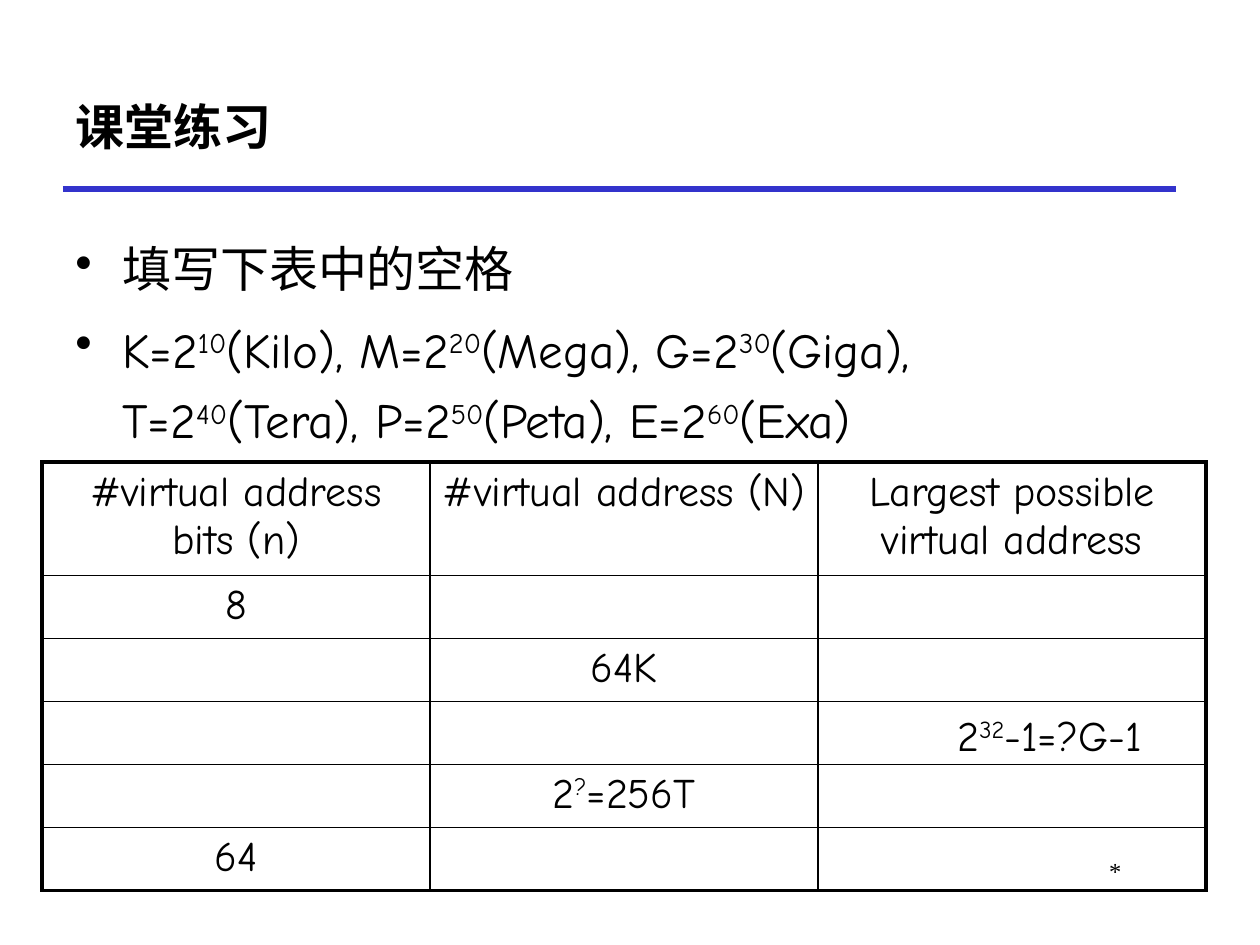
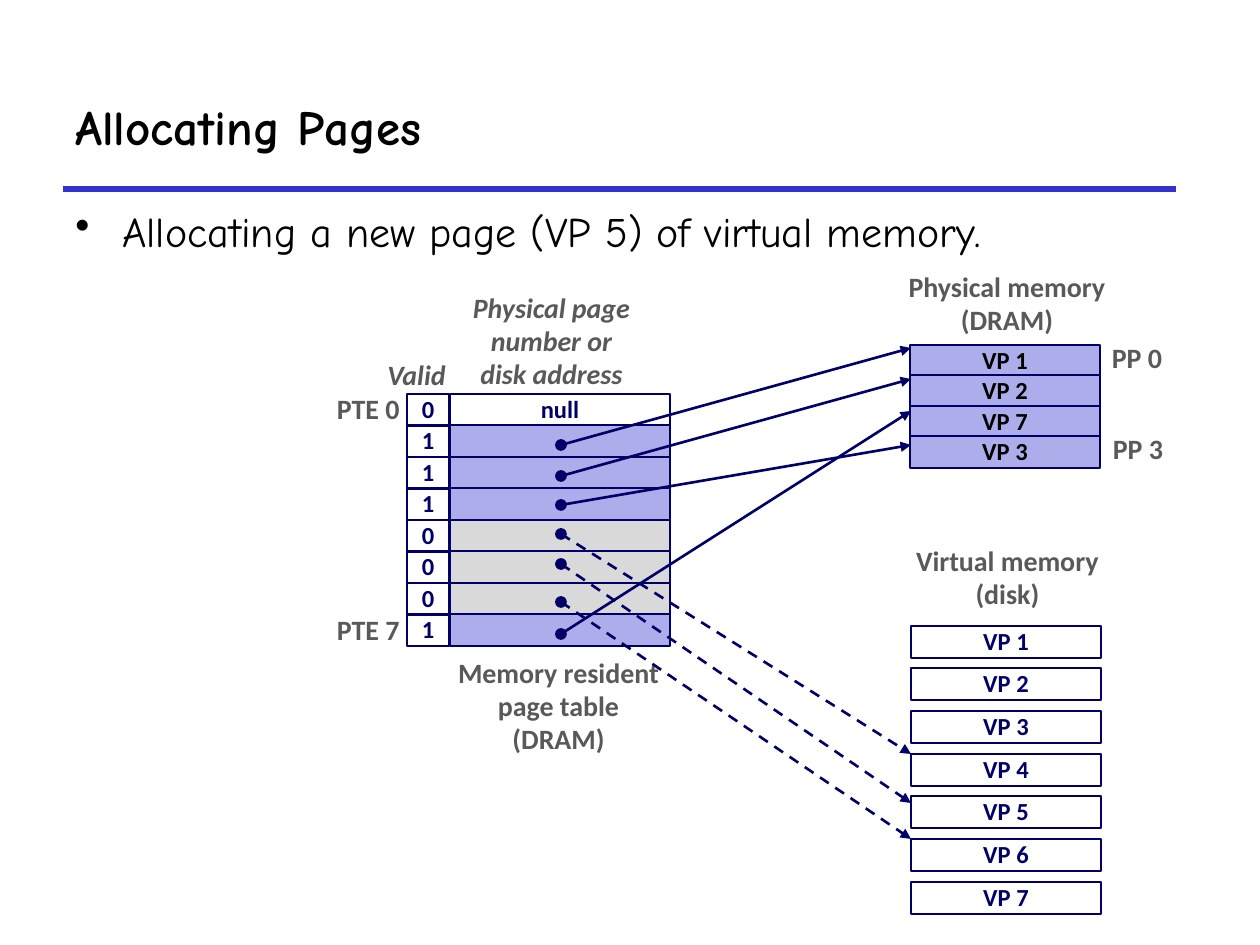
"""Build two lecture slides on virtual memory: an exercise table and a page table diagram."""
from lxml import etree
from pptx import Presentation
from pptx import util as u
from pptx.dml import color as dml
from pptx.enum import dml as lines, shapes, text as t
from pptx.oxml import ns

PX = 914400 // 126
BLACK, NAVY, GREY = "000000", "000066", "595959"
LILAC, SILVER, RULE = "ADADEB", "D9D9D9", "3333CC"
HAND, SANS = "Comic Neue", "Calibri"
LEFT, CENTER, RIGHT = t.PP_ALIGN.LEFT, t.PP_ALIGN.CENTER, t.PP_ALIGN.RIGHT
TOP, MIDDLE = t.MSO_ANCHOR.TOP, t.MSO_ANCHOR.MIDDLE
RECTANGLE, OVAL = shapes.MSO_SHAPE.RECTANGLE, shapes.MSO_SHAPE.OVAL
rgb = dml.RGBColor.from_string


def write(frame, content, size=24, font=HAND, color=BLACK, bold=False, italic=False,
          align=LEFT, anchor=TOP, wrap=True, spacing=1.0, before=0, bullet=False):
    """Fill a text frame; newlines split paragraphs and ^marks^ raise text."""
    frame.word_wrap = wrap
    frame.vertical_anchor = anchor
    for index, line in enumerate(content.split("\n")):
        para = frame.add_paragraph() if index else frame.paragraphs[0]
        para.alignment = align
        para.line_spacing = spacing
        para.space_before = u.Pt(before)
        if bullet:
            props = para._p.get_or_add_pPr()
            props.set("marL", str(47 * PX))
            props.set("indent", str(-47 * PX))
            etree.SubElement(props, ns.qn("a:buChar"), char="•")
        for part, piece in enumerate(line.split("^")):
            span = para.add_run()
            span.text = piece
            span.font.name = font
            span.font.size = u.Pt(size)
            span.font.bold = bold
            span.font.italic = italic
            span.font.color.rgb = rgb(color)
            if part % 2:
                span._r.get_or_add_rPr().set("baseline", "30000")


def draw(page, kind, left, top, width, height, fill=None, weight=1.5):
    """Add a navy-outlined shape and return its text frame."""
    box = page.shapes.add_shape(kind, left * PX, top * PX, width * PX, height * PX)
    box.shadow.inherit = False
    box.line.color.rgb = rgb(NAVY)
    box.line.width = u.Pt(weight)
    if fill:
        box.fill.solid()
        box.fill.fore_color.rgb = rgb(fill)
    else:
        box.fill.background()
    return box.text_frame


deck = Presentation()
deck.slide_width = u.Inches(10)
deck.slide_height = u.Inches(7.5)

pages = []
for title in ("课堂练习", "Allocating Pages"):
    page = deck.slides.add_slide(deck.slide_layouts[6])
    rule = page.shapes.add_connector(
        shapes.MSO_CONNECTOR.STRAIGHT, 63 * PX, 189 * PX, 1176 * PX, 189 * PX)
    rule.line.color.rgb = rgb(RULE)
    rule.line.width = u.Pt(3)
    etree.SubElement(rule._element.spPr, ns.qn("a:effectLst"))
    box = page.shapes.add_textbox(63 * PX, 63 * PX, 1113 * PX, 126 * PX)
    write(box.text_frame, title, size=28, bold=True, anchor=MIDDLE)
    pages.append(page)
exercise, allocation = pages

units = ("填写下表中的空格\n"
         "K=2^10^(Kilo), M=2^20^(Mega), G=2^30^(Giga), "
         "T=2^40^(Tera), P=2^50^(Peta), E=2^60^(Exa)")
box = exercise.shapes.add_textbox(63 * PX, 221 * PX, 1040 * PX, 158 * PX)
write(box.text_frame, units, size=28, spacing=1.2, before=5.6, bullet=True)

answers = [
    ("#virtual address bits (n)", "#virtual address (N)", "Largest possible virtual address"),
    ("8", "", ""),
    ("", "64K", ""),
    ("", "", ""),
    ("", "2^?^=256T", ""),
    ("64", "", ""),
]
rows, columns = len(answers), len(answers[0])
table = exercise.shapes.add_table(
    rows, columns, 42 * PX, 462 * PX, 1164 * PX, 428 * PX).table
table.first_row = table.horz_banding = False
for column in table.columns:
    column.width = 388 * PX
for r, values in enumerate(answers):
    table.rows[r].height = (63 if r else 113) * PX
    for c, value in enumerate(values):
        cell = table.cell(r, c)
        if value:
            write(cell.text_frame, value, align=CENTER)
        props = cell._tc.get_or_add_tcPr()
        edges = {"lnL": c == 0, "lnR": c == columns - 1, "lnT": r == 0, "lnB": r == rows - 1}
        for edge, outer in edges.items():
            border = etree.SubElement(
                props, ns.qn("a:" + edge), w=str(u.Pt(2.25 if outer else 1)))
            solid = etree.SubElement(border, ns.qn("a:solidFill"))
            etree.SubElement(solid, ns.qn("a:srgbClr"), val=BLACK)
        cell.fill.background()

box = exercise.shapes.add_textbox(945 * PX, 703 * PX, 231 * PX, 64 * PX)
write(box.text_frame, "2^32^-1=?G-1", wrap=False)
box = exercise.shapes.add_textbox(955 * PX, 850 * PX, 179 * PX, 63 * PX)
write(box.text_frame, "*", size=14, font="Times New Roman", align=RIGHT)

box = allocation.shapes.add_textbox(63 * PX, 199 * PX, 1144 * PX, 609 * PX)
write(box.text_frame, "Allocating a new page (VP 5) of virtual memory.", before=4.8, bullet=True)

small = dict(size=14, font=SANS, bold=True, align=CENTER, anchor=MIDDLE, wrap=False, spacing=0.98)
label = dict(small, size=16, color=GREY)

for content, left, top, width, height, extra in [
    ("Memory resident\npage table\n(DRAM)", 442, 651, 233, 112, {"anchor": TOP}),
    ("Physical memory\n(DRAM)", 895, 265, 224, 79, {"anchor": TOP}),
    ("Virtual memory\n(disk)", 901, 539, 213, 79, {"anchor": TOP}),
    ("Physical page\nnumber or\ndisk address", 459, 285, 185, 113, {"italic": True}),
    ("Valid", 375, 353, 95, 47, {"italic": True, "align": LEFT, "anchor": TOP, "wrap": True}),
    ("PTE 0", 324, 386, 88, 47, {"align": RIGHT}),
    ("PTE 7", 324, 607, 88, 47, {"align": RIGHT}),
    ("PP 0", 1099, 335, 76, 47, {}),
    ("PP 3", 1100, 426, 76, 47, {}),
]:
    box = allocation.shapes.add_textbox(left * PX, top * PX, width * PX, height * PX)
    write(box.text_frame, content, **{**label, **extra})

for row, name in enumerate(("VP 1", "VP 2", "VP 7", "VP 3")):
    frame = draw(allocation, RECTANGLE, 910, 345 + row * 61 // 2, 190, 32, LILAC)
    write(frame, name, **small)
for row in range(7):
    frame = draw(allocation, RECTANGLE, 911, 626 + row * 128 // 3, 190, 32)
    write(frame, f"VP {row + 1}", color=NAVY, **small)

entries = [
    ("0", None), ("1", LILAC), ("1", LILAC), ("1", LILAC),
    ("0", SILVER), ("0", SILVER), ("0", SILVER), ("1", LILAC),
]
for row, (valid, fill) in enumerate(entries):
    top = 394 + row * 63 // 2
    frame = draw(allocation, RECTANGLE, 407, top, 42, 32)
    write(frame, valid, color=NAVY, **small)
    frame = draw(allocation, RECTANGLE, 450, top, 220, 32, fill)
    if fill is None:
        write(frame, "null", color=NAVY, **small)

pointers = [
    (445, 348, False), (476, 379, False), (505, 445, False), (534, 754, True),
    (564, 803, True), (602, 839, True), (634, 411, False),
]
for start, end, on_disk in pointers:
    arrow = allocation.shapes.add_connector(
        shapes.MSO_CONNECTOR.STRAIGHT, 561 * PX, start * PX, 911 * PX, end * PX)
    arrow.line.color.rgb = rgb(NAVY)
    arrow.line.width = u.Pt(1.5)
    if on_disk:
        arrow.line.dash_style = lines.MSO_LINE.DASH
    etree.SubElement(arrow.line._get_or_add_ln(), ns.qn("a:tailEnd"), type="triangle")
    etree.SubElement(arrow._element.spPr, ns.qn("a:effectLst"))
    draw(allocation, OVAL, 556, start - 5, 10, 10, NAVY, weight=1)

deck.save("out.pptx")
